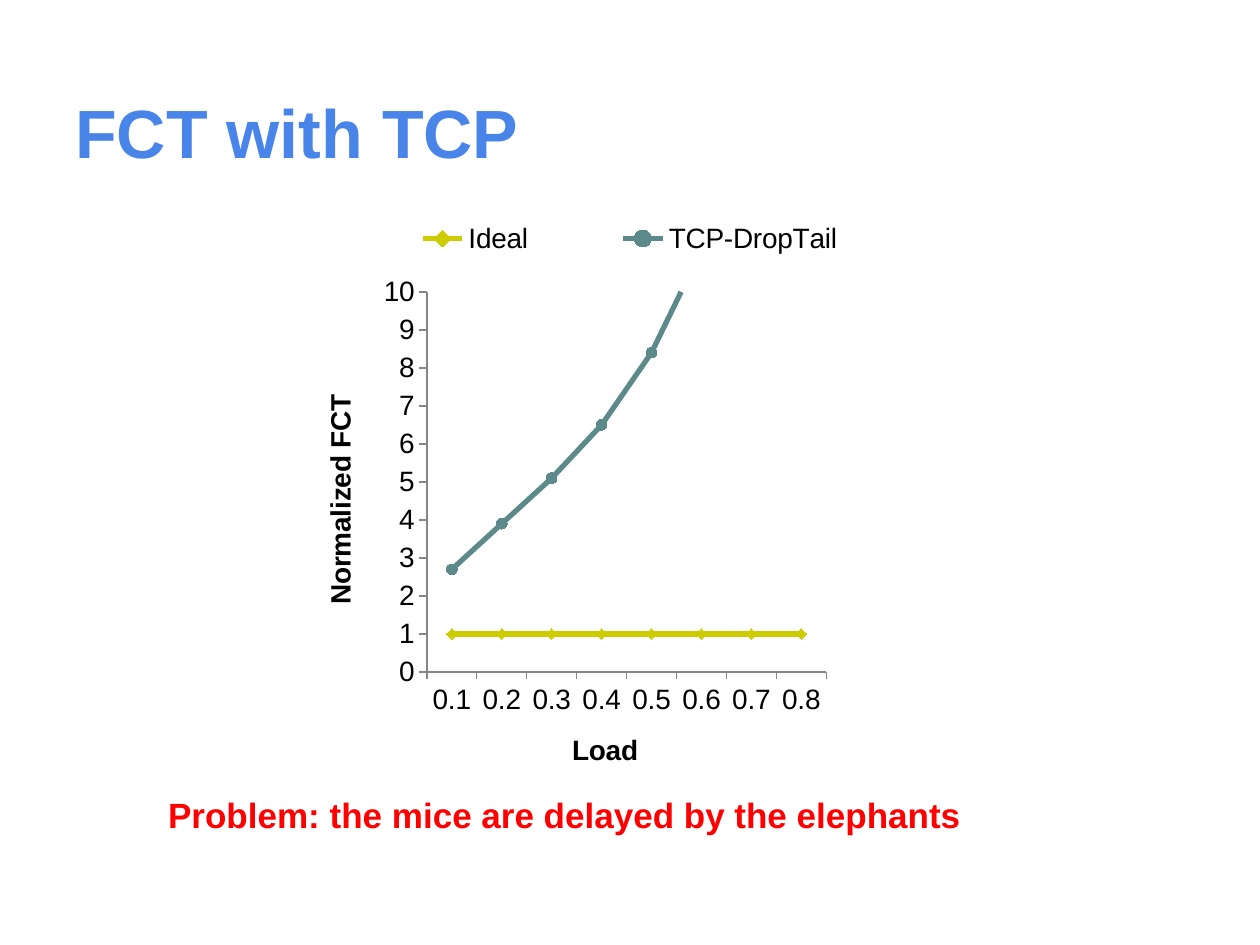
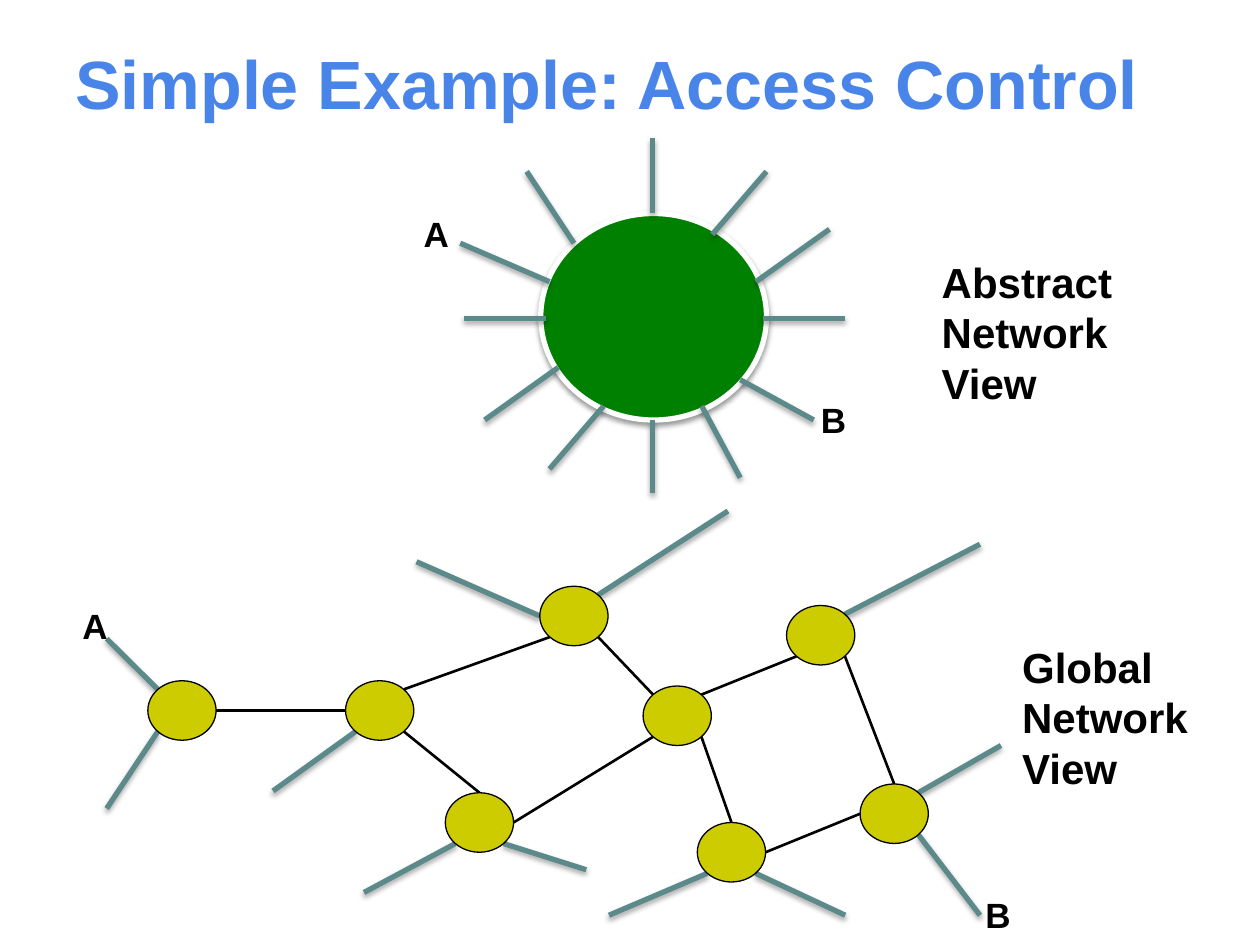
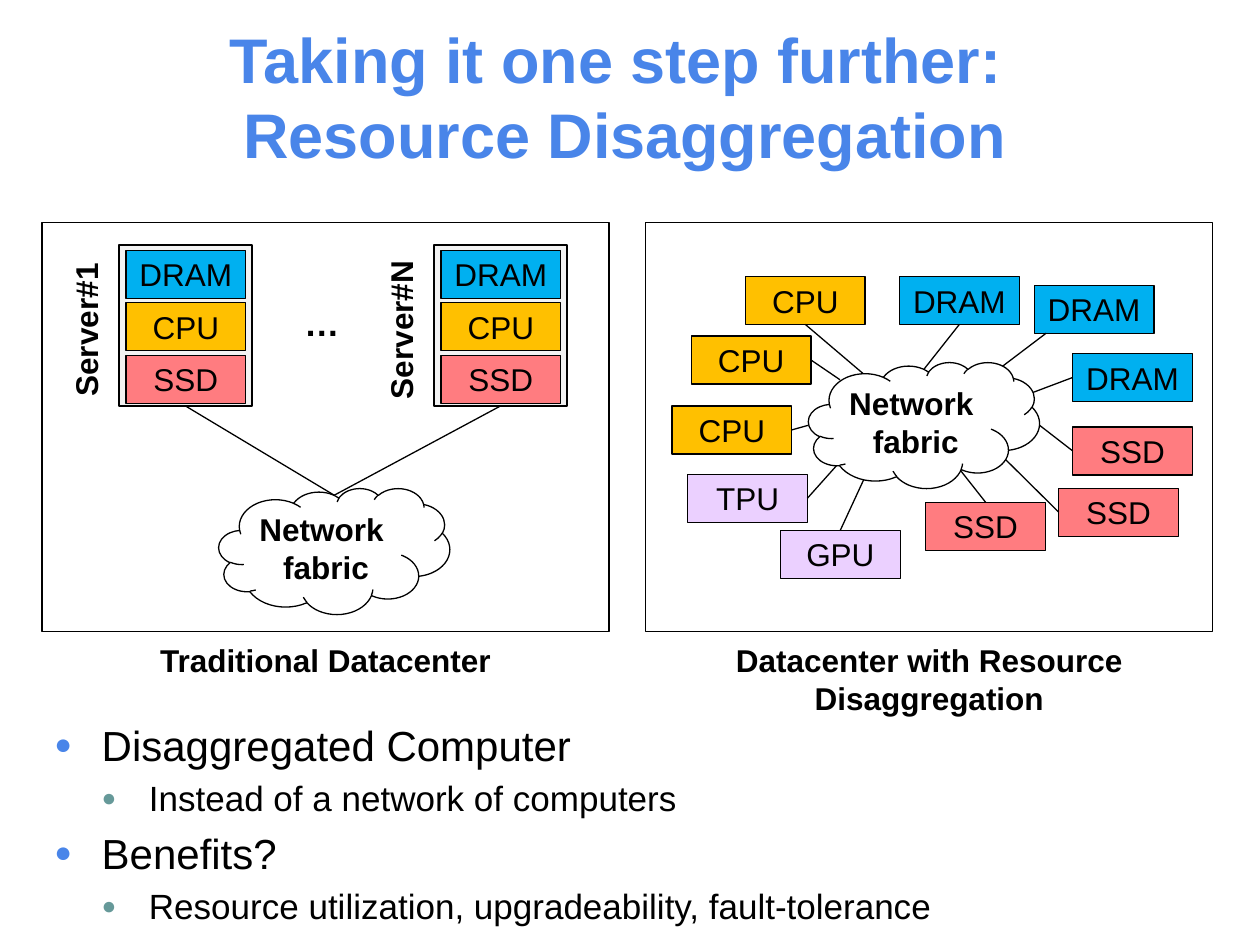
from lxml import etree
from pptx import Presentation
from pptx.chart import data
from pptx.dml.color import RGBColor
from pptx.enum import chart as charts, shapes, text
from pptx.oxml import ns
from pptx.util import Pt

FONT = "Arial"
BLACK, WHITE, RED = "000000", "FFFFFF", "FF0000"
BLUE, TEAL, OLIVE, GREEN = "4985E9", "5C8A8A", "CCCC00", "008000"
GREY, PALE, BULLET_TEAL = "868686", "F2F2F2", "669999"
CHIP_COLORS = {"DRAM": "00B0F0", "CPU": "FFC000", "SSD": "FF7C80", "TPU": "B24CFF", "GPU": "B24CFF"}
TRANSLUCENT = {"TPU": 26, "GPU": 26}
CHIP_WIDTH, CHIP_HEIGHT = 68.4, 27.4
PANEL_WIDTH, PANEL_HEIGHT = 324, 234
CLOUD_WIDTH, CLOUD_HEIGHT = 132, 72
NODE_WIDTH, NODE_HEIGHT = 39, 34
DIAGONAL = 0.71
COMPASS = {
    "N": (0, -1), "NE": (DIAGONAL, -DIAGONAL), "E": (1, 0), "SE": (DIAGONAL, DIAGONAL),
    "S": (0, 1), "SW": (-DIAGONAL, DIAGONAL), "W": (-1, 0), "NW": (-DIAGONAL, -DIAGONAL),
}
LEFT, CENTER, RIGHT = text.PP_ALIGN.LEFT, text.PP_ALIGN.CENTER, text.PP_ALIGN.RIGHT
TOP, MIDDLE, BOTTOM = text.MSO_ANCHOR.TOP, text.MSO_ANCHOR.MIDDLE, text.MSO_ANCHOR.BOTTOM


def color(code):
    """Turn a hex string into a colour."""
    return RGBColor.from_string(code)


def points(*values):
    """Turn numbers into lengths in points."""
    return [Pt(value) for value in values]


def shift(box, x, y):
    """Move a place by the corner of a region's box."""
    return box[0] + x, box[1] + y


def element(parent, tag, **attributes):
    """Append an XML child with the given attributes."""
    return etree.SubElement(parent, ns.qn(tag), {key: str(value) for key, value in attributes.items()})


def style_font(font, size, code=BLACK, bold=False):
    """Set the shared typeface with a size, colour and weight."""
    font.name, font.size, font.bold = FONT, Pt(size), bold
    font.color.rgb = color(code)


def write(shape, lines, size, code=BLACK, bold=False, align=LEFT, anchor=TOP, wrap=True):
    """Fill a shape with equally formatted paragraphs."""
    frame = shape.text_frame
    frame.word_wrap, frame.vertical_anchor = wrap, anchor
    for index, line in enumerate(lines):
        para = frame.add_paragraph() if index else frame.paragraphs[0]
        para.text, para.alignment = line, align
        style_font(para.font, size, code, bold)
    return frame


def add_label(page, place, size, lines, font_size, align=LEFT, code=BLACK, wrap=True):
    """Add a bold text box that fits its text."""
    label = page.shapes.add_textbox(*points(*place, *size))
    frame = write(label, lines, font_size, code, True, align, wrap=wrap)
    frame.auto_size = text.MSO_AUTO_SIZE.SHAPE_TO_FIT_TEXT
    return label


def add_title(page, box, title, size=39, align=LEFT, anchor=BOTTOM):
    """Add the blue slide title."""
    write(page.shapes.add_textbox(*points(*box)), [title], size, BLUE, True, align, anchor)


def cast_shadow(effects, alpha):
    """Put a soft downward shadow in an effect list."""
    shadow = element(effects, "a:outerShdw", blurRad=Pt(3.1), dist=Pt(1.8), dir=90 * 60000, rotWithShape=0)
    element(element(shadow, "a:srgbClr", val=BLACK), "a:alpha", val=alpha * 1000)


def add_line(page, start, end, code=BLACK, width=0.75, shadow=None):
    """Draw a straight line, with a shadow if its opacity is given."""
    line = page.shapes.add_connector(shapes.MSO_CONNECTOR.STRAIGHT, *points(*start, *end))
    line.line.color.rgb, line.line.width = color(code), Pt(width)
    effects = element(line._element.spPr, "a:effectLst")
    if shadow:
        cast_shadow(effects, shadow)


def add_spoke(page, start, end):
    """Draw a thick teal access line."""
    add_line(page, start, end, TEAL, 3, 35)


def add_figure(page, kind, place, size, fill=None, outline=BLACK, width=0.75):
    """Add a preset shape with a flat fill and an outline."""
    figure = page.shapes.add_shape(kind, *points(*place, *size))
    figure.shadow.inherit = False
    if fill:
        figure.fill.solid()
        figure.fill.fore_color.rgb = color(fill)
    else:
        figure.fill.background()
    figure.line.color.rgb, figure.line.width = color(outline), Pt(width)
    return figure


def set_layout(parent, index, **fractions):
    """Give a chart part a manual layout."""
    old = parent.find(ns.qn("c:layout"))
    if old is not None:
        parent.remove(old)
    layout = etree.Element(ns.qn("c:layout"))
    manual = element(layout, "c:manualLayout")
    if parent.tag == ns.qn("c:plotArea"):
        element(manual, "c:layoutTarget", val="inner")
    for key in ("xMode", "yMode"):
        element(manual, f"c:{key}", val="edge")
    for key, value in fractions.items():
        element(manual, f"c:{key}", val=value)
    parent.insert(index, layout)


def add_fct_chart(page, box):
    """Draw flow completion time against load."""
    values = data.CategoryChartData()
    values.categories = [f"0.{tenth}" for tenth in range(1, 9)]
    values.add_series("Ideal", [1] * 8)
    values.add_series("TCP-DropTail", [2.7, 3.9, 5.1, 6.5, 8.4, 11.1, 15.1, 20.4])
    chart = page.shapes.add_chart(charts.XL_CHART_TYPE.LINE_MARKERS, *points(*box), values).chart
    style_font(chart.font, 16)
    chart.has_title = False
    chart.has_legend = True
    chart.legend.position = charts.XL_LEGEND_POSITION.TOP
    chart.legend.include_in_layout = False
    set_layout(chart.legend._element, 1, x=0.2, y=0.01, w=0.6, h=0.1)
    set_layout(chart._chartSpace.chart.plotArea, 0, x=0.292, y=0.146, w=0.409, h=0.612)
    for axis, title in ((chart.category_axis, "Load"), (chart.value_axis, "Normalized FCT ")):
        axis.has_major_gridlines = False
        axis.major_tick_mark = charts.XL_TICK_MARK.OUTSIDE
        axis.format.line.color.rgb = color(GREY)
        para = axis.axis_title.text_frame.paragraphs[0]
        para.text = title
        style_font(para.font, 16, bold=True)
    axis = chart.value_axis
    axis.minimum_scale, axis.maximum_scale, axis.major_unit = 0, 10, 1
    markers = charts.XL_MARKER_STYLE
    for series, code, marker in zip(chart.plots[0].series, (OLIVE, TEAL), (markers.DIAMOND, markers.CIRCLE)):
        series.smooth = False
        series.format.line.color.rgb, series.format.line.width = color(code), Pt(3)
        series.marker.style, series.marker.size = marker, 6
        series.marker.format.fill.solid()
        series.marker.format.fill.fore_color.rgb = color(code)
        series.marker.format.line.color.rgb = color(code)


def add_abstract_view(page, box):
    """Draw one big switch with its access lines."""
    switch = add_figure(page, shapes.MSO_SHAPE.OVAL, shift(box, 74, 43), (129, 118), GREEN, WHITE, 3)
    cast_shadow(switch._element.spPr.find(ns.qn("a:effectLst")), 38)
    spokes = [
        ((172, 55), (203, 19)), ((138, 43), (138, 0)), ((197, 82), (239, 52)),
        ((201, 103), (248, 103)), ((93, 60), (66, 19)), ((79, 82), (28, 60)),
        ((77, 103), (30, 103)), ((138, 161), (138, 203)), ((188, 138), (230, 161)),
        ((166, 153), (188, 194)), ((110, 153), (79, 189)), ((84, 131), (42, 161)),
    ]
    for inner, outer in spokes:
        add_spoke(page, shift(box, *inner), shift(box, *outer))
    add_label(page, shift(box, 296, 64), (162, 94), ["Abstract Network", "View"], 24)
    add_hosts(page, box, (0, 39), (227, 145))


def add_hosts(page, box, a_place, b_place):
    """Label the two end hosts."""
    for name, place in (("A", a_place), ("B", b_place)):
        add_label(page, shift(box, *place), (27, 32), [name], 20, RIGHT)


def add_global_view(page, box):
    """Draw the switches, their links and their access lines."""
    centers = {
        "far west": (64, 114), "west": (177, 114), "north": (288, 60), "south": (234, 178),
        "middle": (347, 117), "northeast": (429, 71), "southeast": (378, 195), "east": (471, 173),
    }
    links = [
        ("north", "SE", "middle", "NW"), ("west", "NE", "north", "SW"), ("west", "SE", "south", "N"),
        ("far west", "E", "west", "W"), ("south", "E", "middle", "SW"), ("southeast", "E", "east", "W"),
        ("northeast", "SE", "east", "N"), ("middle", "SE", "southeast", "N"), ("middle", "NE", "northeast", "SW"),
    ]
    spokes = [
        ("north", "W", 198, 29), ("north", "NE", 376, 0), ("south", "SW", 168, 218),
        ("south", "SE", 295, 205), ("far west", "SW", 21, 170), ("far west", "NW", 21, 73),
        ("northeast", "NE", 520, 19), ("east", "SE", 520, 231), ("east", "NE", 532, 134),
        ("southeast", "SE", 443, 231), ("southeast", "SW", 308, 231), ("west", "SW", 116, 160),
    ]

    def rim(node, side):
        """Find a point on a switch's edge."""
        (x, y), (across, down) = centers[node], COMPASS[side]
        return shift(box, x + across * NODE_WIDTH / 2, y + down * NODE_HEIGHT / 2)

    for start, start_side, end, end_side in links:
        add_line(page, rim(start, start_side), rim(end, end_side), width=1.5)
    for node, side, x, y in spokes:
        add_spoke(page, rim(node, side), shift(box, x, y))
    for x, y in centers.values():
        corner = shift(box, x - NODE_WIDTH / 2, y - NODE_HEIGHT / 2)
        add_figure(page, shapes.MSO_SHAPE.OVAL, corner, (NODE_WIDTH, NODE_HEIGHT), OLIVE)
    add_label(page, shift(box, 537, 71), (132, 94), ["Global", "Network View"], 24)
    add_hosts(page, box, (0, 50), (516, 215))


def add_chip(page, place, name):
    """Add one coloured resource box."""
    chip = add_figure(page, shapes.MSO_SHAPE.RECTANGLE, place, (CHIP_WIDTH, CHIP_HEIGHT), CHIP_COLORS[name])
    if name in TRANSLUCENT:
        fill = chip._element.spPr.find(ns.qn("a:solidFill"))
        element(fill[0], "a:alpha", val=TRANSLUCENT[name] * 1000)
    write(chip, [name], 18, align=CENTER, anchor=MIDDLE, wrap=False)


def add_cloud(page, place, fill=None):
    """Add the network fabric cloud."""
    cloud = add_figure(page, shapes.MSO_SHAPE.CLOUD, place, (CLOUD_WIDTH, CLOUD_HEIGHT), fill)
    write(cloud, ["Network \nfabric"], 18, bold=True, align=CENTER, anchor=MIDDLE, wrap=False)


def add_panel(page, box, caption, caption_height):
    """Draw a framed panel with a caption below."""
    add_figure(page, shapes.MSO_SHAPE.RECTANGLE, box, (PANEL_WIDTH, PANEL_HEIGHT))
    add_label(page, shift(box, 0, PANEL_HEIGHT + 2), (PANEL_WIDTH, caption_height), [caption], 18, CENTER)


def add_server(page, box, name):
    """Draw a server with its stacked resources and upright name."""
    add_figure(page, shapes.MSO_SHAPE.RECTANGLE, box, (76, 92), PALE)
    for row, chip in enumerate(("DRAM", "CPU", "SSD")):
        add_chip(page, shift(box, 4, 3 + 30 * row), chip)
    label = add_label(page, shift(box, -69, 34), (100, 29), [name], 18, CENTER, wrap=False)
    label.rotation = 270


def add_traditional_panel(page, box):
    """Draw servers joined by the network fabric."""
    add_panel(page, box, "Traditional Datacenter", 29)
    add_cloud(page, shift(box, 101, 152))
    for x, name in ((44, "Server#1"), (224, "Server#N")):
        add_server(page, shift(box, x, 13), name)
        add_line(page, shift(box, x + 38, 105), shift(box, 167, 156))
    add_label(page, shift(box, 142, 42), (35, 32), ["…"], 20, RIGHT, wrap=False)


def add_disaggregated_panel(page, box):
    """Draw single resources around the network fabric."""
    add_panel(page, box, "Datacenter with Resource Disaggregation", 51)
    top, bottom, left, right = (0.5, 0), (0.5, 1), (0, 0.5), (1, 0.5)
    resources = [
        ("CPU", 57, 31, bottom, (126, 88)), ("CPU", 26, 65, right, (111, 90)),
        ("CPU", 15, 105, right, (93, 116)), ("DRAM", 145, 31, bottom, (159, 84)),
        ("DRAM", 222, 36, (0.1, 1), (199, 86)), ("DRAM", 244, 75, left, (214, 100)),
        ("SSD", 160, 160, top, (180, 142)), ("SSD", 244, 117, left, (225, 116)),
        ("SSD", 236, 152, left, (204, 134)), ("TPU", 24, 144, right, (110, 138)),
        ("GPU", 77, 176, top, (126, 144)),
    ]
    for name, x, y, (across, down), end in resources:
        add_chip(page, shift(box, x, y), name)
        add_line(page, shift(box, x + across * CHIP_WIDTH, y + down * CHIP_HEIGHT), shift(box, *end))
    add_cloud(page, shift(box, 93, 80), WHITE)


def add_bullets(page, box, items):
    """Write a two-level bulleted list."""
    frame = write(page.shapes.add_textbox(*points(*box)), [line for level, line in items], 24)
    for para, (level, line) in zip(frame.paragraphs, items):
        size = (24, 20)[level]
        para.level, para.font.size, para.space_before = level, Pt(size), Pt(size * 0.2)
        settings = para._p.get_or_add_pPr()
        settings.set("marL", str(Pt(27 * (level + 1))))
        settings.set("indent", str(-Pt(27)))
        bullet = etree.Element(ns.qn("a:buClr"))
        element(bullet, "a:srgbClr", val=(BLUE, BULLET_TEAL)[level])
        run_style = settings.find(ns.qn("a:defRPr"))
        run_style.addprevious(bullet)
        for tag, attributes in (
            ("a:buSzPct", {"val": "70000"}), ("a:buFont", {"typeface": FONT}), ("a:buChar", {"char": "●"}),
        ):
            run_style.addprevious(etree.Element(ns.qn(tag), attributes))


def build_fct_page(page):
    """Lay out the chart slide."""
    add_title(page, (36, 12, 648, 90), "FCT with TCP")
    add_fct_chart(page, (81, 115, 558, 355))
    problem = ["Problem: the mice are delayed by the elephants"]
    add_label(page, (89, 450), (471, 32), problem, 20, code=RED, wrap=False)


def build_access_page(page):
    """Lay out the access control slide."""
    add_title(page, (36, 1, 648, 92), "Simple Example: Access Control", anchor=MIDDLE)
    add_global_view(page, (40, 292))
    add_abstract_view(page, (235, 79))


def build_disaggregation_page(page):
    """Lay out the resource disaggregation slide."""
    title = "Taking it one step further: \nResource Disaggregation"
    add_title(page, (12, 9.5, 690, 92), title, 36, CENTER)
    add_bullets(page, (24, 407.5, 567, 132), [
        (0, "Disaggregated Computer"),
        (1, "Instead of a network of computers"),
        (0, "Benefits?"),
        (1, "Resource utilization, upgradeability, fault-tolerance"),
    ])
    add_traditional_panel(page, (24, 127))
    add_disaggregated_panel(page, (369, 127))


def main():
    """Build and save the deck."""
    deck = Presentation()
    deck.slide_width, deck.slide_height = points(720, 540)
    for build in (build_fct_page, build_access_page, build_disaggregation_page):
        build(deck.slides.add_slide(deck.slide_layouts[6]))
    deck.save("out.pptx")


if __name__ == "__main__":
    main()
